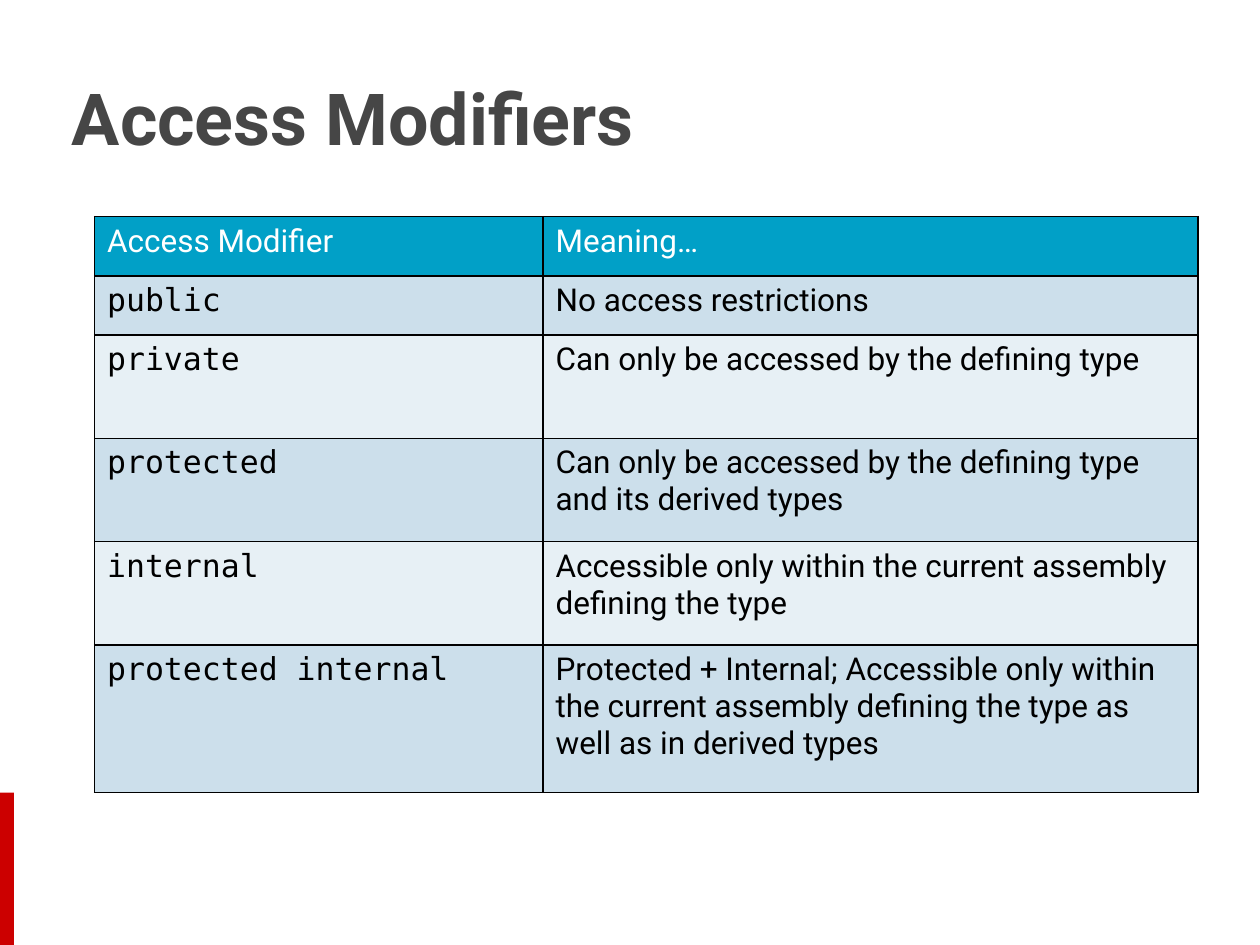
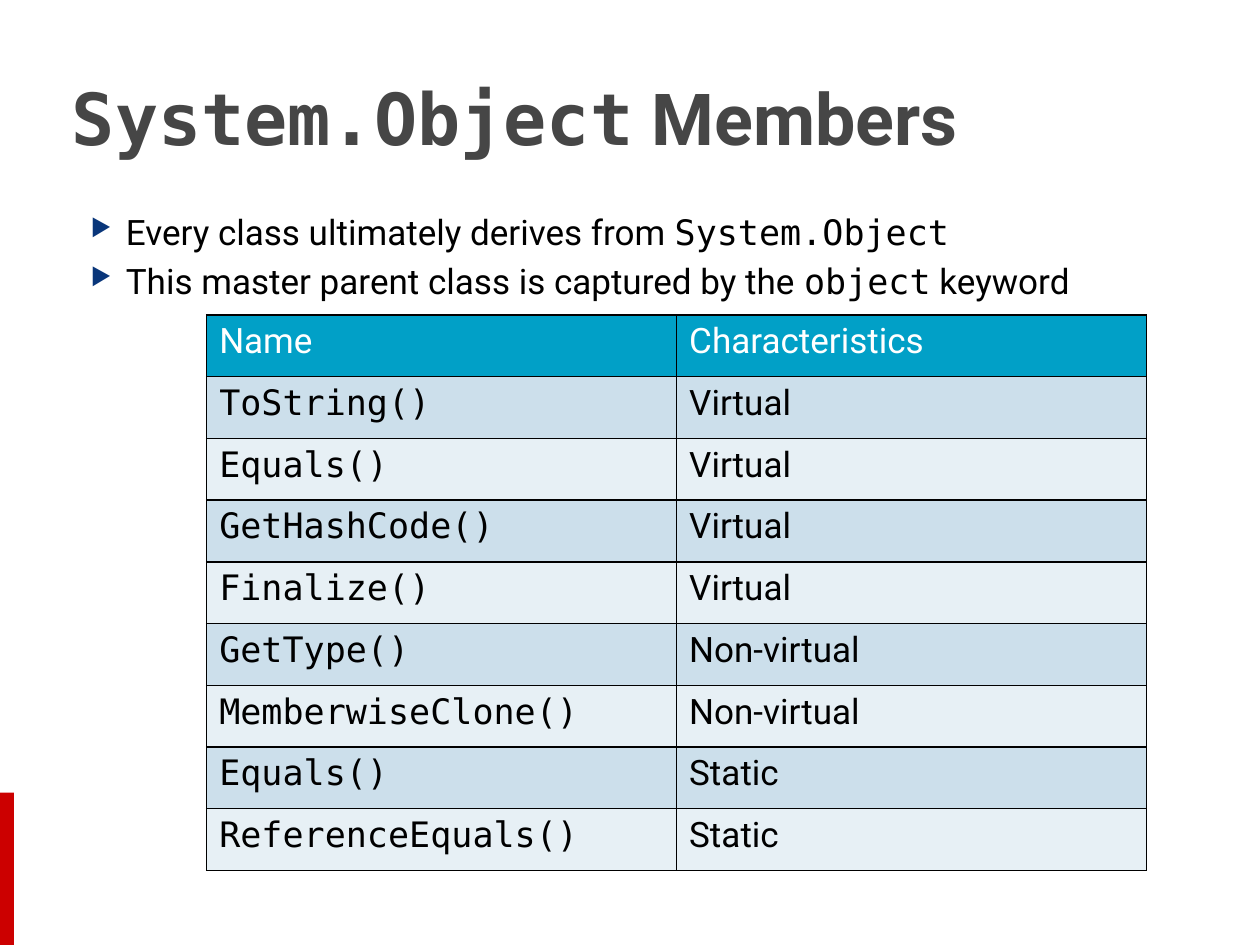
from dataclasses import dataclass
from typing import Any, NamedTuple

from lxml import etree
from pptx import Presentation
from pptx.dml.color import RGBColor
from pptx.enum.shapes import MSO_SHAPE
from pptx.enum.text import MSO_ANCHOR, MSO_AUTO_SIZE, PP_ALIGN
from pptx.oxml.ns import qn
from pptx.util import Inches, Pt

RECT = MSO_SHAPE.RECTANGLE
MIDDLE, TOP = MSO_ANCHOR.MIDDLE, MSO_ANCHOR.TOP
LEFT = PP_ALIGN.LEFT
NO_FIT = MSO_AUTO_SIZE.NONE

SANS, MONO = "Roboto", "DejaVu Sans Mono"
RED, GREY, NAVY = "CC0000", "464646", "09367A"
BLACK, WHITE = "000000", "FFFFFF"
HEAD, DARK, LIGHT = "01A0C7", "CCDFEB", "E7F0F5"
TITLE_ONLY = 5


class Box(NamedTuple):
    left: float
    top: float
    width: float
    height: float


class Span(NamedTuple):
    text: str
    font: str = SANS


@dataclass
class Grid:
    left: float
    top: float
    cols: list[float]
    rows: list[float]
    size: int
    cells: list[tuple[str, str]]


@dataclass
class Page:
    title: list[Span]
    grid: Grid
    points: list[list[Span]]


TITLE_BOX = Box(0.47, 0.3, 9.03, 1.25)
BODY_BOX = Box(0.5, 1.62, 8.99, 4.95)
BAND_BOX = Box(0, 6.29, 0.11, 1.21)

ACCESS = Grid(0.75, 1.72, [3.56, 5.2], [0.47] * 2 + [0.82] * 3 + [1.17], 18, [
    ("Access Modifier", "Meaning…"),
    ("public", "No access restrictions"),
    ("private", "Can only be accessed by the defining type"),
    ("protected",
     "Can only be accessed by the defining type and its derived types"),
    ("internal",
     "Accessible only within the current assembly defining the type"),
    ("protected internal",
     "Protected + Internal; Accessible only within the current assembly "
     "defining the type as well as in derived types"),
])

MEMBERS = Grid(1.64, 2.5, [3.73] * 2, [0.49] * 9, 20, [
    ("Name", "Characteristics"),
    ("ToString()", "Virtual"),
    ("Equals()", "Virtual"),
    ("GetHashCode()", "Virtual"),
    ("Finalize()", "Virtual"),
    ("GetType()", "Non-virtual"),
    ("MemberwiseClone()", "Non-virtual"),
    ("Equals()", "Static"),
    ("ReferenceEquals()", "Static"),
])

PAGES = [
    Page([Span("Access Modifiers")], ACCESS, []),
    Page([Span("System.Object", MONO), Span(" Members")], MEMBERS, [
        [Span("Every class ultimately derives from "),
         Span("System.Object", MONO)],
        [Span("This master parent class is captured by the "),
         Span("object", MONO), Span(" keyword")],
    ]),
]


def rgb(code: str) -> RGBColor:
    return RGBColor.from_string(code)


def apply(target: Any, values: dict[str, Any]) -> None:
    for name, value in values.items():
        setattr(target, name, value)


def place(shape: Any, box: Box) -> None:
    apply(shape, {name: Inches(size) for name, size in box._asdict().items()})


def write(para: Any, spans: list[Span], size: int, color: str,
          bold: bool = False) -> None:
    para.alignment = LEFT
    for span in spans:
        run = para.add_run()
        run.text = span.text
        apply(run.font, {"name": span.font, "size": Pt(size), "bold": bold})
        run.font.color.rgb = rgb(color)


def add_band(slide: Any) -> None:
    band = slide.shapes.add_shape(RECT, *map(Inches, BAND_BOX))
    band.shadow.inherit = False
    band.fill.solid()
    band.fill.fore_color.rgb = rgb(RED)
    band.line.fill.background()


def set_title(slide: Any, spans: list[Span]) -> None:
    title = slide.shapes.title
    place(title, TITLE_BOX)
    frame = title.text_frame
    apply(frame, {"word_wrap": True, "auto_size": NO_FIT,
                  "vertical_anchor": MIDDLE})
    write(frame.paragraphs[0], spans, 41, GREY, True)


def add_mark(para: Any) -> None:
    """Give the paragraph a hanging triangle bullet."""
    props = para._p.get_or_add_pPr()
    props.set("marL", str(Inches(0.4)))
    props.set("indent", str(Inches(-0.28)))
    color = etree.SubElement(props, qn("a:buClr"))
    etree.SubElement(color, qn("a:srgbClr"), val=NAVY)
    etree.SubElement(props, qn("a:buSzPct"), val="68000")
    etree.SubElement(props, qn("a:buChar"), char="▶")


def add_points(slide: Any, points: list[list[Span]]) -> None:
    frame = slide.shapes.add_textbox(*map(Inches, BODY_BOX)).text_frame
    apply(frame, {"word_wrap": True, "vertical_anchor": TOP})
    for i, spans in enumerate(points):
        para = frame.add_paragraph() if i else frame.paragraphs[0]
        para.space_before = Pt(4)
        add_mark(para)
        write(para, spans, 20, BLACK)


def add_edges(cell: Any) -> None:
    """Draw a thin black border on all four sides of the cell."""
    props = cell._tc.get_or_add_tcPr()
    for side in "LRTB":
        line = etree.SubElement(props, qn(f"a:ln{side}"), w=str(Pt(1)))
        fill = etree.SubElement(line, qn("a:solidFill"))
        etree.SubElement(fill, qn("a:srgbClr"), val=BLACK)


def add_grid(slide: Any, grid: Grid) -> None:
    area = Box(grid.left, grid.top, sum(grid.cols), sum(grid.rows))
    table = slide.shapes.add_table(
        len(grid.rows), len(grid.cols), *map(Inches, area)).table
    for col, width in zip(table.columns, grid.cols):
        col.width = Inches(width)
    for row, height in zip(table.rows, grid.rows):
        row.height = Inches(height)
    for r, texts in enumerate(grid.cells):
        shade = (DARK if r % 2 else LIGHT) if r else HEAD
        for c, text in enumerate(texts):
            cell = table.cell(r, c)
            add_edges(cell)
            cell.fill.solid()
            cell.fill.fore_color.rgb = rgb(shade)
            font = MONO if r and c == 0 else SANS
            write(cell.text_frame.paragraphs[0], [Span(text, font)],
                  grid.size, BLACK if r else WHITE)


def main() -> None:
    deck = Presentation()
    apply(deck, {"slide_width": Inches(10), "slide_height": Inches(7.5)})
    for page in PAGES:
        slide = deck.slides.add_slide(deck.slide_layouts[TITLE_ONLY])
        add_band(slide)
        set_title(slide, page.title)
        if page.points:
            add_points(slide, page.points)
        add_grid(slide, page.grid)
    deck.save("out.pptx")


if __name__ == "__main__":
    main()
